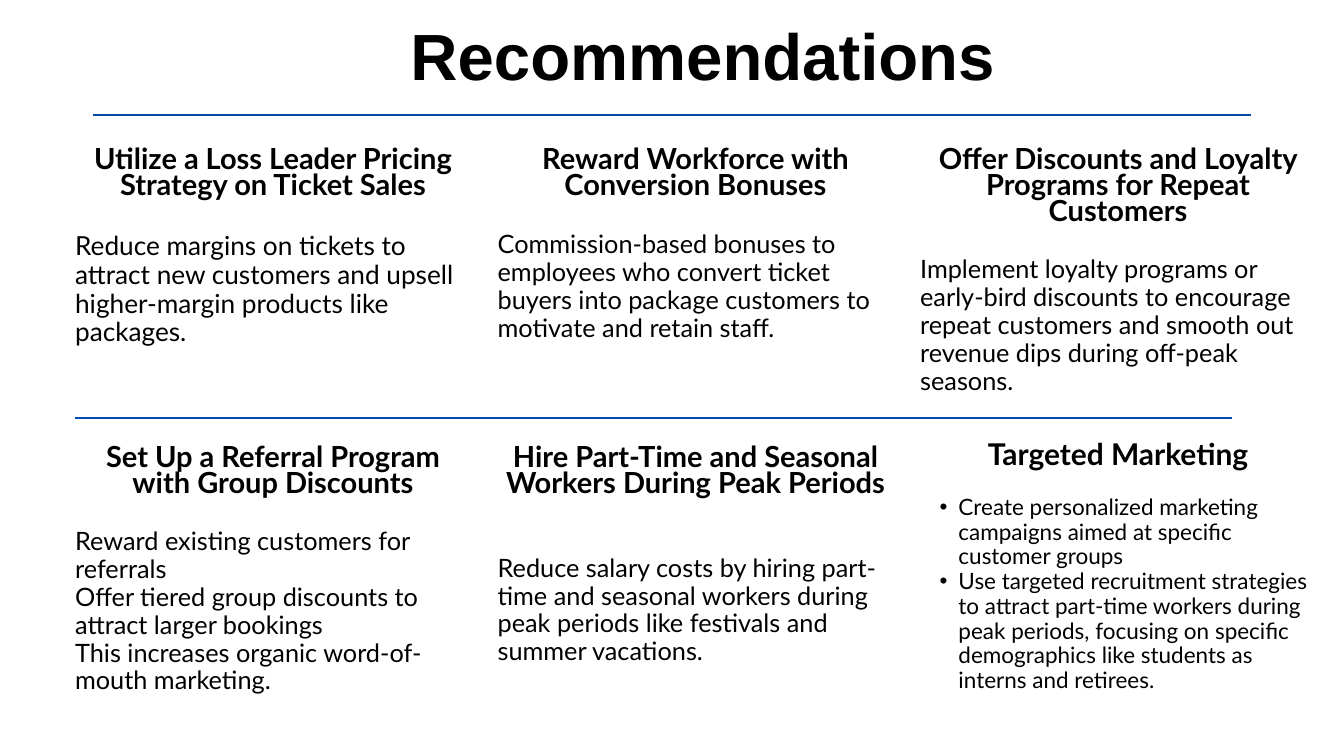
from lxml.etree import SubElement
from pptx import Presentation
from pptx.dml.color import RGBColor
from pptx.enum.shapes import MSO_CONNECTOR
from pptx.enum.text import MSO_ANCHOR, MSO_AUTO_SIZE, PP_ALIGN
from pptx.oxml.ns import qn
from pptx.util import Cm, Pt


def color(value):
    return RGBColor.from_string(value)


def write(box, lines, size, spacing, font="Lato", heading=False):
    frame = box.text_frame
    frame.word_wrap = True
    frame.auto_size = MSO_AUTO_SIZE.NONE
    frame.vertical_anchor = MSO_ANCHOR.TOP
    frame.margin_left = frame.margin_right = 0
    frame.margin_top = frame.margin_bottom = 0
    frame.text = "\n".join(lines)
    for paragraph in frame.paragraphs:
        paragraph.alignment = PP_ALIGN.CENTER if heading else PP_ALIGN.LEFT
        paragraph.line_spacing = Pt(spacing)
        paragraph.space_before = Pt(0)
        paragraph.font.name = font
        paragraph.font.size = Pt(size)
        paragraph.font.bold = heading
        paragraph.font.color.rgb = color("000000")


deck = Presentation()
deck.slide_width = Cm(50.8)
deck.slide_height = Cm(28.575)
page = deck.slides.add_slide(deck.slide_layouts[5])

title = page.shapes.title
title.left, title.top, title.width, title.height = Cm(5.84), Cm(1.3), Cm(41.43), Cm(2.46)
write(title, ["Recommendations"], 70, 63, font="Arial", heading=True)

for left, top in [(3.53, 4.34), (2.84, 15.8)]:
    divider = page.shapes.add_connector(
        MSO_CONNECTOR.STRAIGHT, Cm(left), Cm(top), Cm(left + 43.74), Cm(top))
    divider.line.color.rgb = color("004AAD")
    divider.line.width = Pt(1.5)
    SubElement(divider.element.spPr, qn("a:effectLst"))

LEFT, COLUMN_STEP, COLUMN_WIDTH = 2.84, 15.97, 14.96

# Each entry: heading, (top, height, size, spacing), body lines, (top, height, size, spacing)
recommendations = [
    ("Utilize a Loss Leader Pricing Strategy on Ticket Sales", (5.66, 2.08, 31.1, 27.9),
     ["Reduce margins on tickets to attract new customers and upsell higher-margin "
      "products like packages."], (8.76, 4.37, 28.1, 30.9)),
    ("Reward Workforce with Conversion Bonuses", (5.66, 2.08, 31.1, 27.9),
     ["Commission-based bonuses to employees who convert ticket buyers into package "
      "customers to motivate and retain staff."], (8.74, 4.19, 27.1, 29.8)),
    ("Offer Discounts and Loyalty Programs for Repeat Customers", (5.64, 3.07, 31.1, 27.9),
     ["Implement loyalty programs or early-bird discounts to encourage repeat customers "
      "and smooth out revenue dips during off-peak seasons."], (9.68, 5.21, 27.1, 29.8)),
    ("Set Up a Referral Program with Group Discounts", (16.89, 2.08, 31.1, 27.9),
     ["Reward existing customers for referrals",
      "Offer tiered group discounts to attract larger bookings",
      "This increases organic word-of-mouth marketing."], (19.96, 6.25, 27.1, 29.8)),
    ("Hire Part-Time and Seasonal Workers During Peak Periods", (16.89, 3.07, 31.1, 27.9),
     ["Reduce salary costs by hiring part-time and seasonal workers during peak periods "
      "like festivals and summer vacations."], (20.96, 4.19, 27.1, 29.8)),
    ("Targeted Marketing", (16.79, 1.09, 32.1, 28.9),
     ["Create personalized marketing campaigns aimed at specific customer groups",
      "Use targeted recruitment strategies to attract part-time workers during peak "
      "periods, focusing on specific demographics like students as interns and retirees."],
     (18.72, 8.33, 24.1, 26.5)),
]

for index, (heading, heading_style, body, body_style) in enumerate(recommendations):
    left = LEFT + index % 3 * COLUMN_STEP
    for lines, style, is_heading in [([heading], heading_style, True), (body, body_style, False)]:
        top, height, size, spacing = style
        box = page.shapes.add_textbox(Cm(left), Cm(top), Cm(COLUMN_WIDTH), Cm(height))
        write(box, lines, size, spacing, heading=is_heading)

for paragraph in box.text_frame.paragraphs:
    paragraph.level = 1
    properties = paragraph._p.get_or_add_pPr()
    properties.set("marL", str(Cm(1.45)))
    properties.set("indent", str(Cm(-0.71)))
    bullet_font = properties.makeelement(qn("a:buFont"), {"typeface": "Arial"})
    bullet = properties.makeelement(qn("a:buChar"), {"char": "•"})
    defaults = properties.find(qn("a:defRPr"))
    defaults.addprevious(bullet_font)
    defaults.addprevious(bullet)

deck.save("out.pptx")
